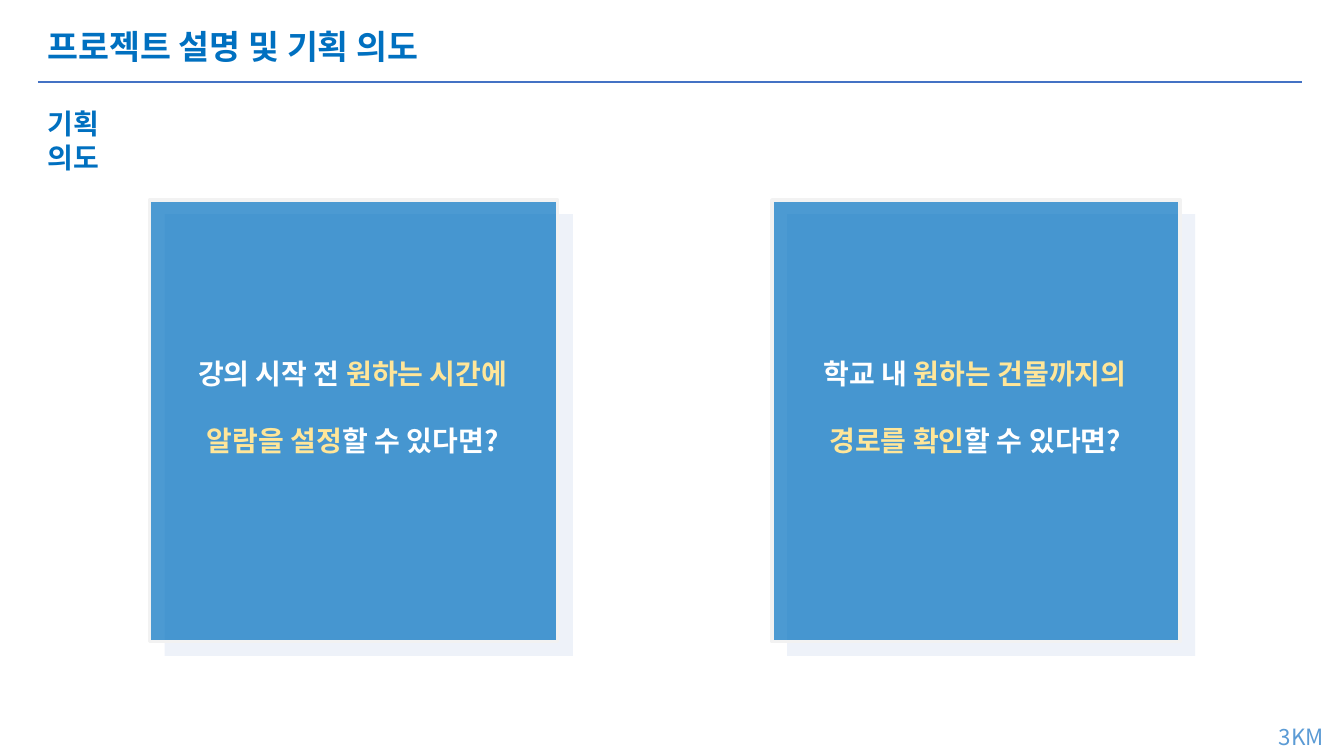
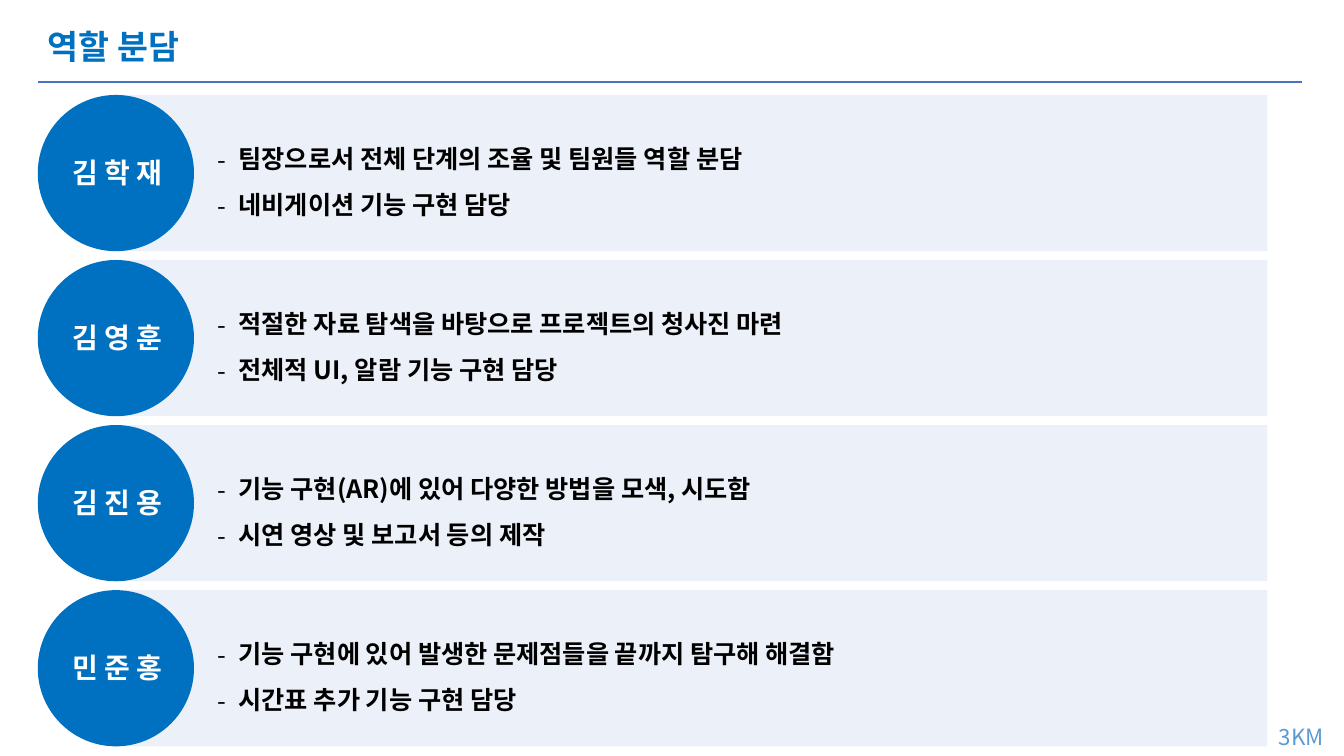
import lxml.etree
import pptx
import pptx.dml.color
import pptx.enum.shapes
import pptx.enum.text
import pptx.oxml.ns
import pptx.util

FONT = "Noto Sans CJK KR"
BLUE, RULE, WHITE, BLACK = "0070C0", "4472C4", "FFFFFF", "000000"
CARD_EDGE, CARD_SHADE, HIGHLIGHT, BAND = "F2F2F2", "B4C7E7", "FFE699", "DAE3F3"
TEAM_GRADIENT = ((0, "1F4E79"), (50, "5B9BD5"), (100, "9DC3E6"))
COLUMNS, ROWS = 160, 90
SLIDE_W, SLIDE_H = pptx.util.Inches(13.33), pptx.util.Inches(7.5)
RECT = pptx.enum.shapes.MSO_SHAPE.RECTANGLE
OVAL = pptx.enum.shapes.MSO_SHAPE.OVAL
CENTER = pptx.enum.text.PP_ALIGN.CENTER

CARDS = [
    (17.8, [[("강의 시작 전 ", WHITE), ("원하는 시간에", HIGHLIGHT)],
            [("알람을 설정", HIGHLIGHT), ("할 수 있다면?", WHITE)]]),
    (91.9, [[("학교 내 ", WHITE), ("원하는 건물까지의", HIGHLIGHT)],
            [("경로를 확인", HIGHLIGHT), ("할 수 있다면?", WHITE)]]),
]
MEMBERS = [
    ("김 학 재", 13.2, ["팀장으로서 전체 단계의 조율 및 팀원들 역할 분담",
                     "네비게이션 기능 구현 담당"]),
    ("김 영 훈", 13.8, ["적절한 자료 탐색을 바탕으로 프로젝트의 청사진 마련",
                     "전체적 UI, 알람 기능 구현 담당"]),
    ("김 진 용", 13.8, ["기능 구현(AR)에 있어 다양한 방법을 모색, 시도함",
                     "시연 영상 및 보고서 등의 제작"]),
    ("민 준 홍", 13.2, ["기능 구현에 있어 발생한 문제점들을 끝까지 탐구해 해결함",
                     "시간표 추가 기능 구현 담당"]),
]


def grid(x, y, w, h):
    """Turn grid columns and rows into slide lengths."""
    return (int(x * SLIDE_W / COLUMNS), int(y * SLIDE_H / ROWS),
            int(w * SLIDE_W / COLUMNS), int(h * SLIDE_H / ROWS))


def rgb(value):
    """Return the colour for a hex string."""
    return pptx.dml.color.RGBColor.from_string(value)


def element(parent, tag, **attributes):
    """Append a drawing element to its parent."""
    return lxml.etree.SubElement(parent, pptx.oxml.ns.qn(tag), attributes)


def gradient(properties, stops):
    """Fill text with a vertical gradient."""
    fill = element(properties, "a:gradFill")
    stop_list = element(fill, "a:gsLst")
    for position, value in stops:
        stop = element(stop_list, "a:gs", pos=str(position * 1000))
        element(stop, "a:srgbClr", val=value)
    element(fill, "a:lin", ang="5400000", scaled="0")


def add_run(paragraph, words, color, size, bold):
    """Add one formatted run."""
    run = paragraph.add_run()
    run.text = words
    run.font.size, run.font.bold = pptx.util.Pt(size), bold
    properties = run.font._element
    if isinstance(color, str):
        run.font.color.rgb = rgb(color)
    else:
        gradient(properties, color)
    run.font.name = FONT
    element(properties, "a:ea", typeface=FONT)


def add_text(slide, box, content, color=BLUE, size=20, bold=True, align=None,
             spacing=None, gap=0, bullet=None):
    """Write a string, or a list of lines made of strings or (words, colour) pairs."""
    frame = slide.shapes.add_textbox(*grid(*box)).text_frame
    frame.word_wrap = True
    lines = [content] if isinstance(content, str) else content
    for number, line in enumerate(lines):
        paragraph = frame.add_paragraph() if number else frame.paragraphs[0]
        paragraph.alignment, paragraph.line_spacing = align, spacing
        if number and gap:
            paragraph.space_before = pptx.util.Pt(gap)
        if bullet:
            properties = paragraph._p.get_or_add_pPr()
            indent = pptx.util.Inches(0.21)
            properties.set("marL", str(indent))
            properties.set("indent", str(-indent))
            element(properties, "a:buFont", typeface=FONT)
            element(properties, "a:buChar", char=bullet)
        for words, shade in [(line, color)] if isinstance(line, str) else line:
            add_run(paragraph, words, shade, size, bold)


def add_panel(slide, kind, box, color, opacity=100, edge=None):
    """Draw a filled shape with optional transparency and outline."""
    panel = slide.shapes.add_shape(kind, *grid(*box))
    panel.shadow.inherit = False
    panel.fill.solid()
    panel.fill.fore_color.rgb = rgb(color)
    if opacity < 100:
        tint = panel._element.spPr.find(".//" + pptx.oxml.ns.qn("a:srgbClr"))
        element(tint, "a:alpha", val=str(opacity * 1000))
    if edge:
        panel.line.color.rgb = rgb(edge)
        panel.line.width = pptx.util.Pt(2.5)
    else:
        panel.line.fill.background()


def add_page(deck, title):
    """Start a slide with its title, rule and team mark."""
    slide = deck.slides.add_slide(deck.slide_layouts[6])
    add_text(slide, (4.5, 2.5, 52, 6), title, size=24)
    add_text(slide, (149.8, 85.5, 10.2, 4.5), "3KM", color=TEAM_GRADIENT,
             size=16, bold=False, align=CENTER)
    left, top, width, _ = grid(4.5, 9.75, 150.5, 0)
    rule = slide.shapes.add_connector(
        pptx.enum.shapes.MSO_CONNECTOR.STRAIGHT, left, top, left + width, top)
    rule.line.color.rgb, rule.line.width = rgb(RULE), pptx.util.Pt(1.5)
    element(rule._element.spPr, "a:effectLst")
    return slide


def add_card(slide, box, question):
    """Draw a question card with its offset backing."""
    x, y, w, h = box
    add_panel(slide, RECT, (x + 1.8, y + 1.7, w, h), CARD_SHADE, opacity=22)
    add_panel(slide, RECT, box, BLUE, opacity=70, edge=CARD_EDGE)
    add_text(slide, (x + 1.9, y + 18, w - 4, 13.3), question, align=CENTER, gap=24)


def add_member(slide, box, name, name_width, duties):
    """Draw a member's band, name circle and duties."""
    x, y, w, h = box
    add_panel(slide, RECT, (x + h / 2, y, w - h / 2, h), BAND, opacity=50)
    add_panel(slide, OVAL, (x, y, h, h), BLUE)
    add_text(slide, (x + 2.9, y + 6.6, name_width, 5.3), name, color=WHITE)
    add_text(slide, (x + 20.2, y + 3.4, 120, 11.6), duties, color=BLACK, size=18,
             spacing=1.5, bullet="-")


def add_intent_slide(deck):
    """Build the slide on the project's intent."""
    slide = add_page(deck, "프로젝트 설명 및 기획 의도")
    add_text(slide, (4.5, 12.1, 15.1, 5.3), "기획 의도")
    for left, question in CARDS:
        add_card(slide, (left, 23.8, 48.6, 52.6), question)


def add_roles_slide(deck):
    """Build the slide on the members' roles."""
    slide = add_page(deck, "역할 분담")
    for row, member in enumerate(MEMBERS):
        add_member(slide, (4.5, 11.3 + row * 19.65, 146.4, 18.6), *member)


def main():
    """Build and save the deck."""
    deck = pptx.Presentation()
    deck.slide_width, deck.slide_height = SLIDE_W, SLIDE_H
    add_intent_slide(deck)
    add_roles_slide(deck)
    deck.save("out.pptx")


if __name__ == "__main__":
    main()
